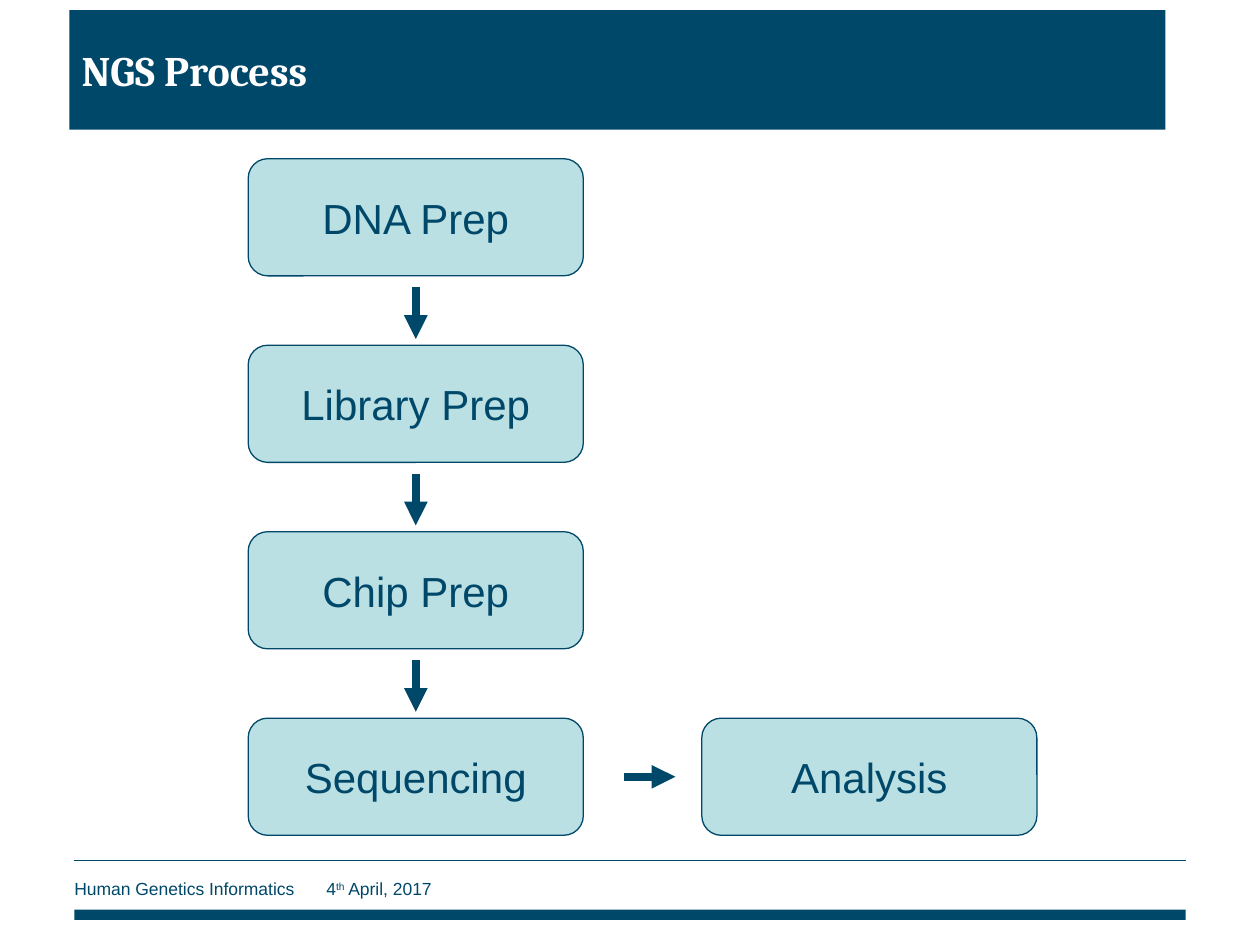
"""Build the NGS Process slide: a column of preparation steps leading to analysis."""
from dataclasses import dataclass

from lxml import etree
from pptx import Presentation
from pptx import util as u
from pptx.dml.color import RGBColor
from pptx.enum import shapes, text
from pptx.oxml.ns import qn

HEADING = "NGS Process"
STEPS = ["DNA Prep", "Library Prep", "Chip Prep", "Sequencing"]
OUTCOME = "Analysis"
FOOTER = [("Human Genetics Informatics\t4", 0), ("th", 30000), (" April, 2017", 0)]


@dataclass(frozen=True)
class Theme:
    navy: RGBColor = RGBColor(0x00, 0x48, 0x69)
    aqua: RGBColor = RGBColor(0xBB, 0xE0, 0xE3)
    white: RGBColor = RGBColor(0xFF, 0xFF, 0xFF)
    heading_font: str = "Cambria"
    body_font: str = "Arial"
    large: float = 24
    small: float = 10
    thin: float = 0.75
    thick: float = 4.5


THEME = Theme()
STEP_LEFT, STEP_TOP, STEP_W, STEP_H = 1.97, 1.26, 2.66, 0.93
STEP_PITCH = 1.48
OUTCOME_LEFT = 5.57
ARROW_LENGTH = 0.41
DOWN_GAP, SIDE_GAP = 0.09, 0.32
FOOTER_LEFT, FOOTER_W = 0.59, 8.82


def style(run, size, color, font, bold=False):
    run.font.size = u.Pt(size)
    run.font.color.rgb = color
    run.font.name = font
    run.font.bold = bold


def add_block(slide, kind, box, fill, outline=None):
    block = slide.shapes.add_shape(kind, *map(u.Inches, box))
    block.shadow.inherit = False
    block.fill.solid()
    block.fill.fore_color.rgb = fill
    if outline is None:
        block.line.fill.background()
    else:
        block.line.color.rgb = outline
        block.line.width = u.Pt(THEME.thin)
    return block


def add_label(block, wording, align, color, font, bold=False):
    frame = block.text_frame
    frame.text = wording
    frame.vertical_anchor = text.MSO_ANCHOR.MIDDLE
    frame.paragraphs[0].alignment = align
    style(frame.paragraphs[0].runs[0], THEME.large, color, font, bold)


def add_rule(slide, start, end, width, arrow=False):
    rule = slide.shapes.add_connector(
        shapes.MSO_CONNECTOR.STRAIGHT, *map(u.Inches, (*start, *end)))
    rule.line.color.rgb = THEME.navy
    rule.line.width = u.Pt(width)
    if arrow:
        etree.SubElement(rule.line._get_or_add_ln(), qn("a:tailEnd"), type="triangle")
    etree.SubElement(rule._element.spPr, qn("a:effectLst"))


def add_step(slide, wording, left, top):
    step = add_block(slide, shapes.MSO_SHAPE.ROUNDED_RECTANGLE,
                     (left, top, STEP_W, STEP_H), THEME.aqua, THEME.navy)
    step.adjustments[0] = 0.167
    add_label(step, wording, text.PP_ALIGN.CENTER, THEME.navy, THEME.body_font)
    step.text_frame.word_wrap = False


def add_footer(slide):
    add_block(slide, shapes.MSO_SHAPE.RECTANGLE,
              (FOOTER_LEFT, 7.22, FOOTER_W, 0.08), THEME.navy)
    add_rule(slide, (FOOTER_LEFT, 6.83), (FOOTER_LEFT + FOOTER_W, 6.83), THEME.thin)
    footer = slide.shapes.add_textbox(*map(u.Inches, (FOOTER_LEFT, 6.92, 6.71, 0.27)))
    frame = footer.text_frame
    frame.word_wrap = True
    frame.margin_left = 0
    frame.vertical_anchor = text.MSO_ANCHOR.MIDDLE
    credit = frame.paragraphs[0]
    tabs = etree.SubElement(credit._p.get_or_add_pPr(), qn("a:tabLst"))
    etree.SubElement(tabs, qn("a:tab"), pos=str(u.Inches(2)), algn="l")
    for wording, baseline in FOOTER:
        run = credit.add_run()
        run.text = wording
        style(run, THEME.small, THEME.navy, THEME.body_font)
        if baseline:
            run.font._element.set("baseline", str(baseline))


def add_process(slide):
    center = STEP_LEFT + STEP_W / 2
    tops = [STEP_TOP + i * STEP_PITCH for i in range(len(STEPS))]
    for wording, top in zip(STEPS, tops):
        add_step(slide, wording, STEP_LEFT, top)
    for top in tops[:-1]:
        start = top + STEP_H + DOWN_GAP
        add_rule(slide, (center, start), (center, start + ARROW_LENGTH), THEME.thick, True)
    add_step(slide, OUTCOME, OUTCOME_LEFT, tops[-1])
    start, middle = STEP_LEFT + STEP_W + SIDE_GAP, tops[-1] + STEP_H / 2
    add_rule(slide, (start, middle), (start + ARROW_LENGTH, middle), THEME.thick, True)


def main():
    deck = Presentation()
    deck.slide_width, deck.slide_height = u.Inches(10), u.Inches(7.5)
    slide = deck.slides.add_slide(deck.slide_layouts[6])
    add_footer(slide)
    banner = add_block(slide, shapes.MSO_SHAPE.RECTANGLE, (0.55, 0.08, 8.7, 0.95), THEME.navy)
    add_label(banner, HEADING, text.PP_ALIGN.LEFT, THEME.white, THEME.heading_font, True)
    add_process(slide)
    deck.save("out.pptx")


if __name__ == "__main__":
    main()
